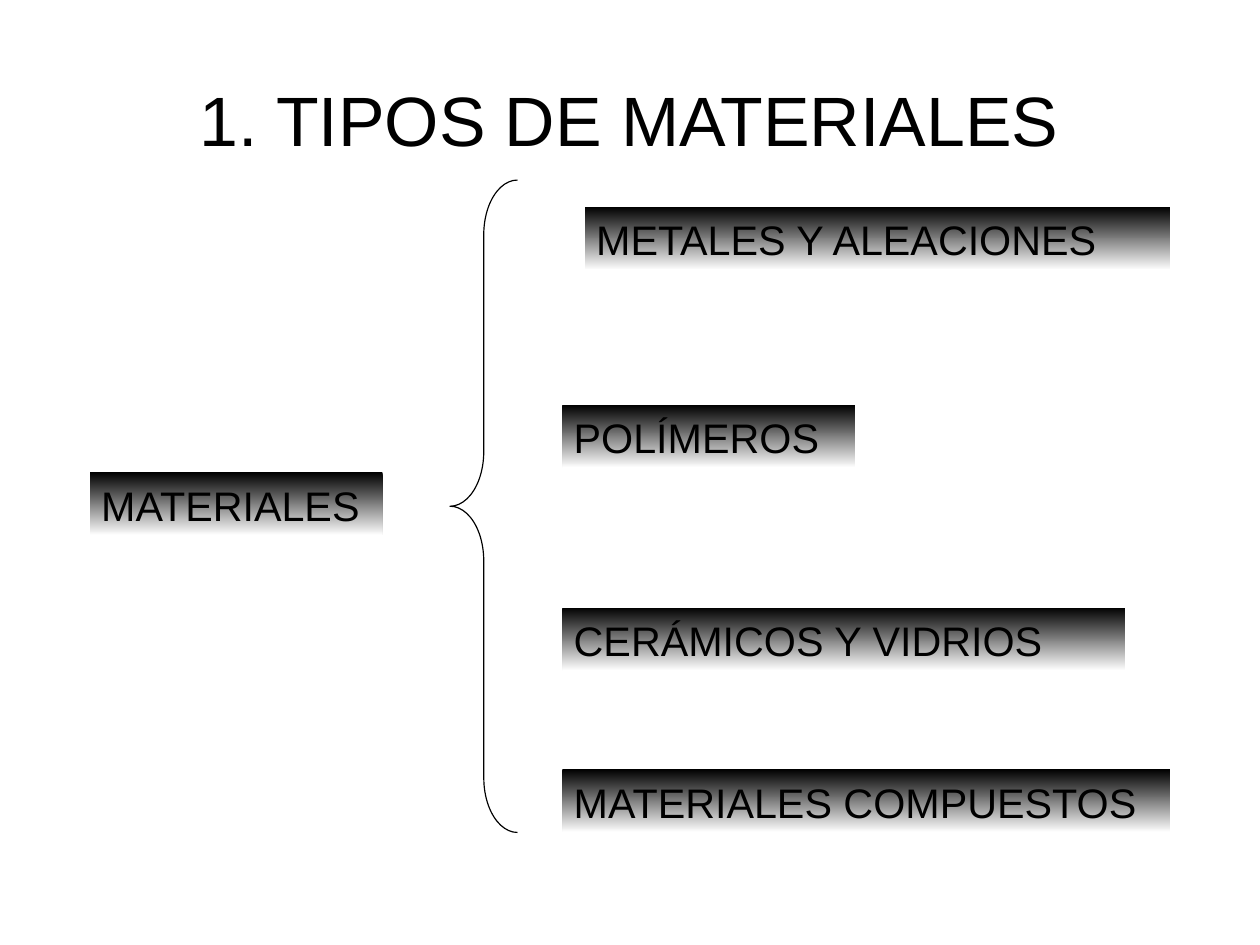
import pptx
import pptx.util
import pptx.dml.color
import pptx.enum.shapes
import pptx.enum.text

Pt = pptx.util.Pt
BLACK = pptx.dml.color.RGBColor(0, 0, 0)
WHITE = pptx.dml.color.RGBColor(255, 255, 255)
LEFT = pptx.enum.text.PP_ALIGN.LEFT
CENTER = pptx.enum.text.PP_ALIGN.CENTER
TOP = pptx.enum.text.MSO_ANCHOR.TOP
MIDDLE = pptx.enum.text.MSO_ANCHOR.MIDDLE

BOX_HEIGHT = 39.7
# Text, left, top and width in points
MATERIAL_BOXES = [
    ("MATERIALES", 56.7, 297.6, 184.3),
    ("POLÍMEROS", 354.3, 255.1, 184.3),
    ("METALES Y ALEACIONES", 368.5, 130.4, 368.5),
    ("CERÁMICOS Y VIDRIOS", 354.3, 382.7, 354.3),
    ("MATERIALES COMPUESTOS", 354.3, 484.7, 382.7),
]


def write_text(shape, text, size, align=LEFT, anchor=TOP, margins=(7.1, 3.5)):
    frame = shape.text_frame
    frame.word_wrap = True
    frame.auto_size = pptx.enum.text.MSO_AUTO_SIZE.NONE
    frame.vertical_anchor = anchor
    frame.margin_left = frame.margin_right = Pt(margins[0])
    frame.margin_top = frame.margin_bottom = Pt(margins[1])
    paragraph = frame.paragraphs[0]
    paragraph.alignment = align
    paragraph.line_spacing = 1.04
    run = paragraph.add_run()
    run.text = text
    run.font.name = "Arial"
    run.font.size = Pt(size)
    run.font.color.rgb = BLACK


def set_title(slide, text):
    title = slide.shapes.title
    title.left, title.top = Pt(39.7), Pt(27.4)
    title.width, title.height = Pt(714.2), Pt(92.2)
    write_text(title, text, 44, align=CENTER, anchor=MIDDLE, margins=(0, 0))


def add_material_box(slide, text, left, top, width):
    box = slide.shapes.add_shape(
        pptx.enum.shapes.MSO_SHAPE.RECTANGLE,
        Pt(left), Pt(top), Pt(width), Pt(BOX_HEIGHT))
    box.shadow.inherit = False
    box.line.fill.background()
    # Black at the top fading to white at the bottom
    box.fill.gradient()
    box.fill.gradient_angle = 270
    for stop, color in zip(box.fill.gradient_stops, (BLACK, WHITE)):
        stop.color.rgb = color
    write_text(box, text, 26)


def add_brace(slide, left, top, width, height):
    brace = slide.shapes.add_shape(
        pptx.enum.shapes.MSO_SHAPE.LEFT_BRACE,
        Pt(left), Pt(top), Pt(width), Pt(height))
    brace.adjustments[0] = 0.81
    brace.shadow.inherit = False
    brace.fill.background()
    brace.line.color.rgb = BLACK
    brace.line.width = Pt(0.75)


def main():
    presentation = pptx.Presentation()
    presentation.slide_width = Pt(793.7)
    presentation.slide_height = Pt(595.3)
    slide = presentation.slides.add_slide(presentation.slide_layouts[5])

    set_title(slide, "1. TIPOS DE MATERIALES")

    # Materials and their four types
    for material_box in MATERIAL_BOXES:
        add_material_box(slide, *material_box)

    # Brace joining the types
    add_brace(slide, 283.5, 113.4, 42.5, 411)

    presentation.save("out.pptx")


if __name__ == "__main__":
    main()
